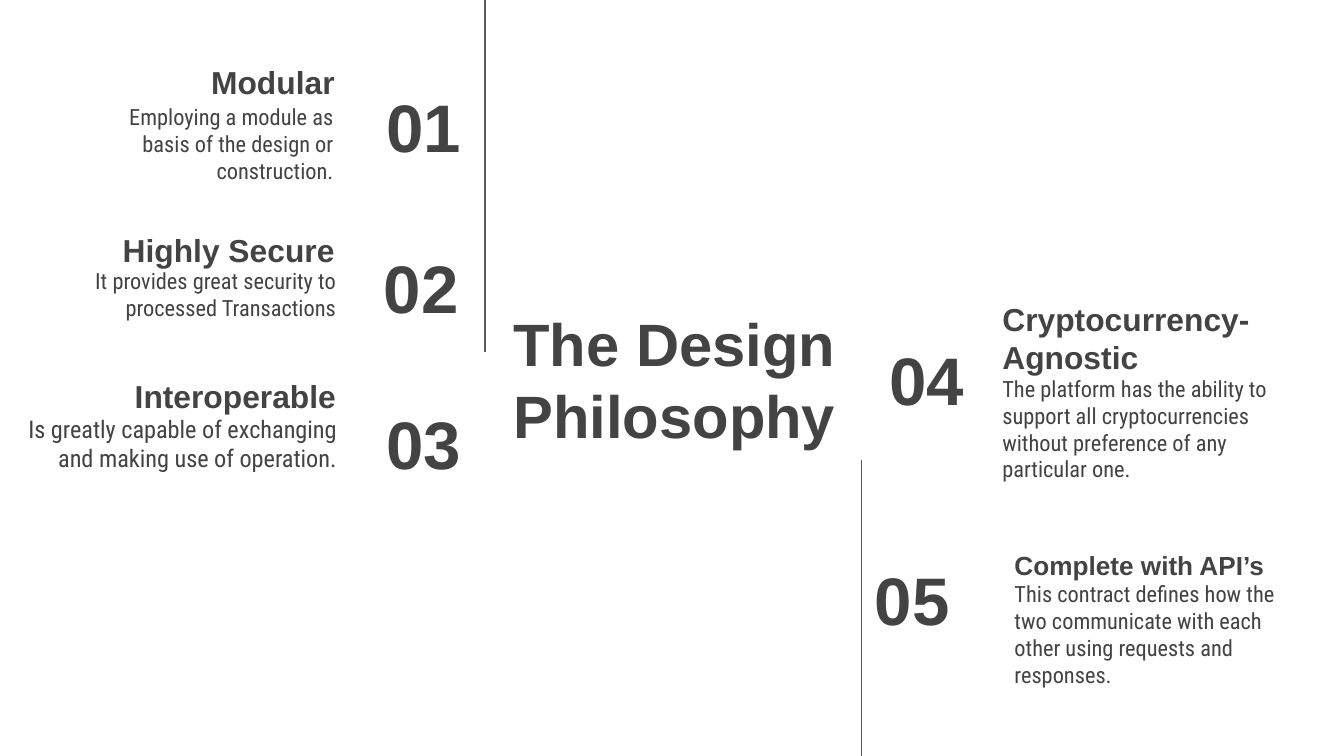
from dataclasses import dataclass

from lxml.etree import SubElement
from pptx import Presentation
from pptx.dml.color import RGBColor
from pptx.enum.shapes import MSO_CONNECTOR
from pptx.enum.text import MSO_ANCHOR, PP_ALIGN
from pptx.oxml.ns import qn
from pptx.slide import Slide
from pptx.util import Inches, Pt

HEADING_FONT = "Arial"
BODY_FONT = "Roboto Condensed"
INK = "434343"
RULE_COLOUR = "595959"
SLIDE_WIDTH = 10
SLIDE_HEIGHT = SLIDE_WIDTH * 9 / 16


@dataclass(frozen=True)
class Area:
    """A rectangle in inches."""

    left: float
    top: float
    width: float
    height: float


@dataclass(frozen=True)
class Principle:
    """One numbered design principle and the areas of its parts."""

    number: str
    heading: str
    description: str
    number_area: Area
    heading_area: Area
    description_area: Area
    align: PP_ALIGN
    heading_size: float = 17
    description_size: float = 12


PRINCIPLES = [
    Principle(
        "01", "Modular",
        "Employing a module as basis of the design or construction.",
        Area(2.32, 0.62, 1.21, 0.63), Area(0.43, 0.22, 2.16, 0.63),
        Area(0.57, 0.67, 2.01, 0.63), PP_ALIGN.RIGHT,
    ),
    Principle(
        "02", "Highly Secure",
        "It provides great security to processed Transactions",
        Area(2.3, 1.82, 1.21, 0.63), Area(0.43, 1.74, 2.16, 0.36),
        Area(0.33, 1.89, 2.27, 0.63), PP_ALIGN.RIGHT,
    ),
    Principle(
        "03", "Interoperable",
        "Is greatly capable of exchanging and making use of operation.",
        Area(2.32, 2.98, 1.21, 0.63), Area(0.44, 2.43, 2.16, 0.76),
        Area(-0.15, 2.98, 2.75, 0.63), PP_ALIGN.RIGHT, description_size=13,
    ),
    Principle(
        "04", "Cryptocurrency-\nAgnostic",
        "The platform has the ability to support all cryptocurrencies "
        "without preference of any particular one.",
        Area(6.52, 2.5, 1.17, 0.63), Area(7.36, 1.74, 3.07, 1.16),
        Area(7.36, 2.69, 2.34, 1.03), PP_ALIGN.LEFT,
    ),
    Principle(
        "05", "Complete with API’s",
        "This contract defines how the two communicate with each other "
        "using requests and responses.",
        Area(6.41, 4.14, 1.17, 0.63), Area(7.45, 3.79, 2.16, 0.63),
        Area(7.45, 4.22, 2.34, 1.16), PP_ALIGN.LEFT, heading_size=14,
    ),
]


def colour(value: str) -> RGBColor:
    """Turn a hex string into a colour."""
    return RGBColor.from_string(value)


def add_text(slide: Slide, text: str, area: Area, size: float, align: PP_ALIGN,
             anchor: MSO_ANCHOR, heading: bool = True) -> None:
    """Add a text box with one paragraph per line of text."""
    box = slide.shapes.add_textbox(Inches(area.left), Inches(area.top),
                                   Inches(area.width), Inches(area.height))
    frame = box.text_frame
    frame.word_wrap = True
    frame.vertical_anchor = anchor
    frame.margin_left = frame.margin_right = Inches(0.1)
    frame.margin_top = frame.margin_bottom = Inches(0.1)
    for index, line in enumerate(text.split("\n")):
        paragraph = frame.add_paragraph() if index else frame.paragraphs[0]
        paragraph.alignment = align
        run = paragraph.add_run()
        run.text = line
        run.font.name = HEADING_FONT if heading else BODY_FONT
        run.font.size = Pt(size)
        run.font.bold = heading
        run.font.color.rgb = colour(INK)


def add_principle(slide: Slide, principle: Principle) -> None:
    """Add the number, heading and description of a principle."""
    align = principle.align
    add_text(slide, principle.number, principle.number_area, 36, align,
             MSO_ANCHOR.MIDDLE)
    add_text(slide, principle.heading, principle.heading_area,
             principle.heading_size, align, MSO_ANCHOR.BOTTOM)
    add_text(slide, principle.description, principle.description_area,
             principle.description_size, align, MSO_ANCHOR.TOP, heading=False)


def add_rule(slide: Slide, x: float, top: float, bottom: float) -> None:
    """Add a thin vertical rule."""
    rule = slide.shapes.add_connector(MSO_CONNECTOR.STRAIGHT, Inches(x),
                                      Inches(top), Inches(x), Inches(bottom))
    rule.line.color.rgb = colour(RULE_COLOUR)
    rule.line.width = Pt(0.75)
    SubElement(rule.element.spPr, qn("a:effectLst"))


def main() -> None:
    """Build and save the slide."""
    presentation = Presentation()
    presentation.slide_width = Inches(SLIDE_WIDTH)
    presentation.slide_height = Inches(SLIDE_HEIGHT)
    slide = presentation.slides.add_slide(presentation.slide_layouts[6])
    add_text(slide, "The Design\nPhilosophy", Area(3.7, 2.3, 2.64, 1.03), 32,
             PP_ALIGN.CENTER, MSO_ANCHOR.MIDDLE)
    for principle in PRINCIPLES:
        add_principle(slide, principle)
    add_rule(slide, 3.61, 0, 2.62)
    add_rule(slide, 6.41, 3.42, 5.64)
    presentation.save("out.pptx")


if __name__ == "__main__":
    main()
